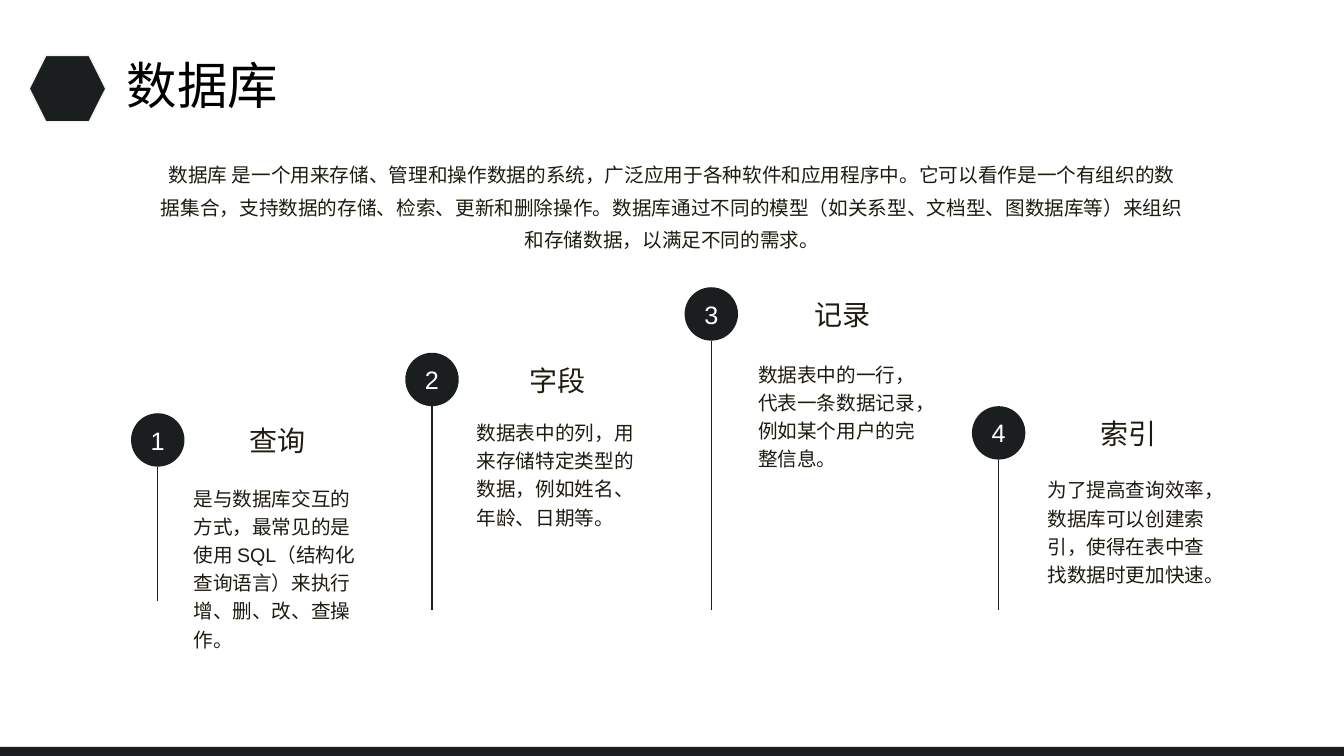
from dataclasses import dataclass

from lxml.etree import SubElement
from pptx import Presentation
from pptx.dml.color import RGBColor
from pptx.enum.shapes import MSO_CONNECTOR, MSO_SHAPE
from pptx.enum.text import MSO_ANCHOR, PP_ALIGN
from pptx.oxml.ns import qn
from pptx.shapes.autoshape import Shape
from pptx.shapes.shapetree import GroupShapes, SlideShapes
from pptx.util import Inches, Pt

DARK = "1B1E1F"
INK = "1E1C11"
WHITE = "FFFFFF"
FONT = "Arial"
BADGE = 0.53


@dataclass(frozen=True)
class Box:
    left: float
    top: float
    width: float
    height: float

    def lengths(self) -> tuple[int, int, int, int]:
        return (Inches(self.left), Inches(self.top),
                Inches(self.width), Inches(self.height))


@dataclass(frozen=True)
class TextStyle:
    size: float
    color: str = INK
    align: PP_ALIGN = PP_ALIGN.LEFT
    anchor: MSO_ANCHOR = MSO_ANCHOR.TOP
    spacing: float = 1.0


@dataclass(frozen=True)
class Concept:
    heading: str
    detail: str
    badge_left: float
    badge_top: float
    text_left: float
    text_width: float
    detail_top: float
    stem_end: float = 6.05


TITLE = TextStyle(36, "000000", anchor=MSO_ANCHOR.MIDDLE, spacing=0.9)
INTRO = TextStyle(14, align=PP_ALIGN.CENTER, spacing=1.4)
NUMBER = TextStyle(18, WHITE, PP_ALIGN.CENTER, MSO_ANCHOR.MIDDLE)
HEADING = TextStyle(20, align=PP_ALIGN.CENTER, anchor=MSO_ANCHOR.MIDDLE)
DETAIL = TextStyle(14, spacing=1.2)

INTRO_TEXT = (
    "数据库 是一个用来存储、管理和操作数据的系统，广泛应用于各种软件和应用程序中。"
    "它可以看作是一个有组织的数据集合，支持数据的存储、检索、更新和删除操作。"
    "数据库通过不同的模型（如关系型、文档型、图数据库等）来组织和存储数据，以满足不同的需求。"
)

CONCEPTS = [
    Concept("查询", "是与数据库交互的方式，最常见的是使用 SQL（结构化查询语言）来执行增、删、改、查操作。",
            1.3, 4.1, 1.82, 1.86, 4.73, 5.96),
    Concept("字段", "数据表中的列，用来存储特定类型的数据，例如姓名、年龄、日期等。",
            4.02, 3.5, 4.63, 1.79, 4.08),
    Concept("记录", "数据表中的一行，代表一条数据记录，例如某个用户的完整信息。",
            6.79, 2.85, 7.42, 1.87, 3.5),
    Concept("索引", "为了提高查询效率，数据库可以创建索引，使得在表中查找数据时更加快速。",
            9.64, 4.03, 10.29, 1.81, 4.65),
]


def rgb(color: str) -> RGBColor:
    return RGBColor.from_string(color)


def write(holder: Shape, text: str, style: TextStyle) -> None:
    frame = holder.text_frame
    frame.word_wrap = True
    frame.vertical_anchor = style.anchor
    paragraph = frame.paragraphs[0]
    paragraph.alignment = style.align
    paragraph.line_spacing = style.spacing
    run = paragraph.add_run()
    run.text = text
    run.font.name = FONT
    run.font.size = Pt(style.size)
    run.font.color.rgb = rgb(style.color)


def add_text(shapes: SlideShapes | GroupShapes, box: Box, text: str,
             style: TextStyle) -> None:
    write(shapes.add_textbox(*box.lengths()), text, style)


def add_solid(shapes: SlideShapes | GroupShapes, preset: MSO_SHAPE, box: Box) -> Shape:
    solid = shapes.add_shape(preset, *box.lengths())
    solid.shadow.inherit = False
    solid.fill.solid()
    solid.fill.fore_color.rgb = rgb(DARK)
    solid.line.fill.background()
    return solid


def add_stem(shapes: GroupShapes, x: float, top: float, bottom: float) -> None:
    stem = shapes.add_connector(MSO_CONNECTOR.STRAIGHT, Inches(x), Inches(top),
                                Inches(x), Inches(bottom))
    stem.line.color.rgb = rgb(DARK)
    stem.line.width = Pt(1)
    SubElement(stem.element.spPr, qn("a:effectLst"))


def add_concept(slide_shapes: SlideShapes, number: int, concept: Concept) -> None:
    shapes = slide_shapes.add_group_shape().shapes
    add_stem(shapes, concept.badge_left + BADGE / 2, concept.badge_top + BADGE,
             concept.stem_end)
    badge = add_solid(shapes, MSO_SHAPE.OVAL,
                      Box(concept.badge_left, concept.badge_top, BADGE, BADGE))
    write(badge, str(number), NUMBER)
    frame = badge.text_frame
    frame.margin_left = frame.margin_right = Inches(0)
    frame.margin_top = frame.margin_bottom = Inches(0)
    add_text(shapes, Box(concept.text_left, concept.badge_top + 0.05,
                         concept.text_width, 0.44), concept.heading, HEADING)
    add_text(shapes, Box(concept.text_left, concept.detail_top,
                         concept.text_width, 1.31), concept.detail, DETAIL)


def main() -> None:
    deck = Presentation()
    deck.slide_width = Inches(13.33)
    deck.slide_height = Inches(7.5)
    slide = deck.slides.add_slide(deck.slide_layouts[6])
    shapes = slide.shapes

    add_solid(shapes, MSO_SHAPE.RECTANGLE, Box(0, 7.41, 13.33, 0.09))
    add_text(shapes, Box(1.16, 0.6, 4.52, 0.56), "数据库", TITLE)
    hexagon = add_solid(shapes, MSO_SHAPE.HEXAGON, Box(0.29, 0.55, 0.76, 0.66))
    hexagon.line.color.rgb = rgb("F2F2F2")
    hexagon.line.width = Pt(1)

    for number, concept in enumerate(CONCEPTS, start=1):
        add_concept(shapes, number, concept)
    add_text(shapes, Box(1.49, 1.47, 10.35, 0.54), INTRO_TEXT, INTRO)

    deck.save("out.pptx")


if __name__ == "__main__":
    main()
